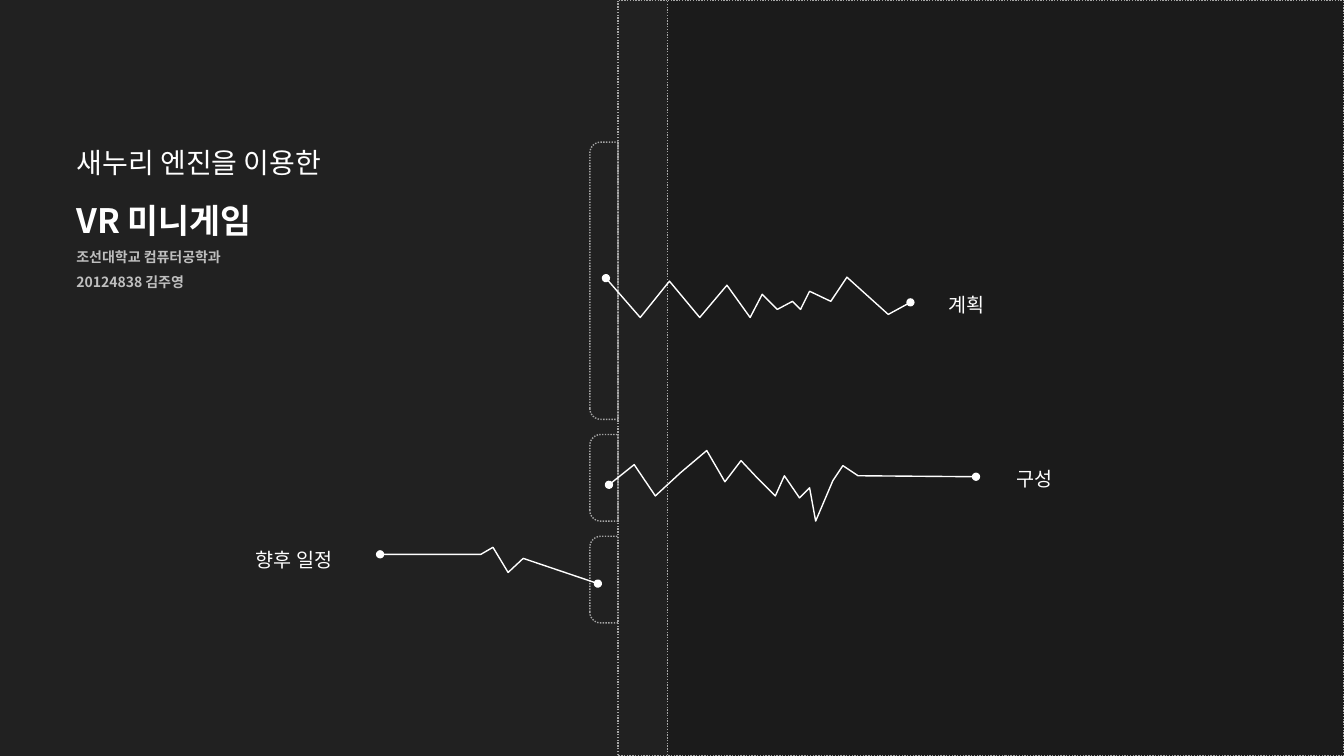
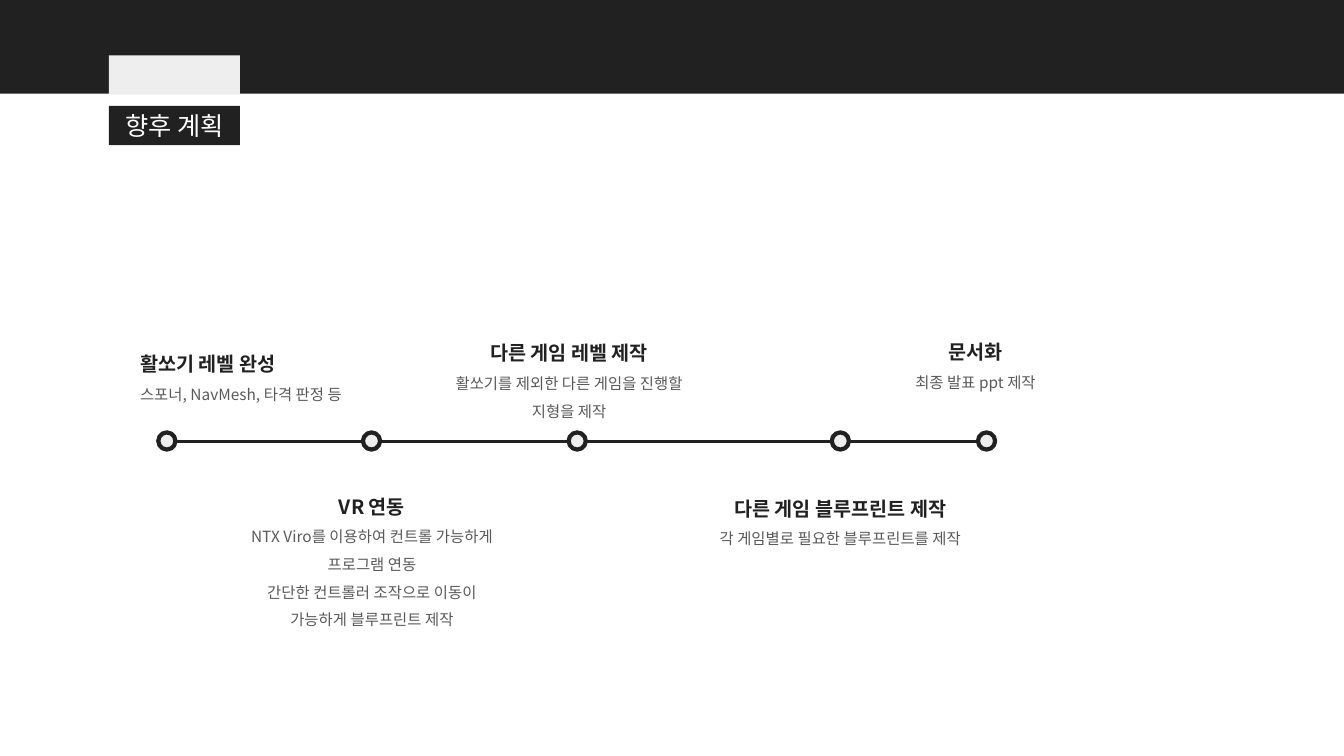
"""Build a two-slide deck on a VR mini-game: an opening map and a schedule timeline."""
from dataclasses import dataclass

from lxml.etree import SubElement
from pptx import Presentation
from pptx.dml.color import RGBColor
from pptx.enum.dml import MSO_LINE
from pptx.enum.shapes import MSO_CONNECTOR, MSO_SHAPE
from pptx.enum.text import MSO_ANCHOR, MSO_AUTO_SIZE, PP_ALIGN
from pptx.oxml.ns import qn
from pptx.util import Inches, Pt


@dataclass(frozen=True)
class Theme:
    font: str = "Noto Sans CJK KR"
    dark: str = "212121"
    darker: str = "1B1B1B"
    white: str = "FFFFFF"
    pale: str = "EEEEEE"
    dotted: str = "A6A6A6"
    muted: str = "BFBFBF"
    body: str = "595959"
    title_size: int = 24
    lead_size: int = 20
    band_size: int = 18
    label_size: int = 14
    body_size: int = 11
    small_size: int = 10


theme = Theme()
LEFT, CENTER = PP_ALIGN.LEFT, PP_ALIGN.CENTER


def write(box, lines, align=LEFT, spacing=1.5, wrap=True, anchor=MSO_ANCHOR.TOP):
    frame = box.text_frame
    frame_format = {"word_wrap": wrap, "auto_size": MSO_AUTO_SIZE.NONE, "vertical_anchor": anchor}
    for name, value in frame_format.items():
        setattr(frame, name, value)
    for number, (text, size, colour, bold) in enumerate(lines):
        para = frame.add_paragraph() if number else frame.paragraphs[0]
        for name, value in {"alignment": align, "line_spacing": spacing}.items():
            setattr(para, name, value)
        span = para.add_run()
        span.text = text
        for name, value in {"name": theme.font, "size": Pt(size), "bold": bold}.items():
            setattr(span.font, name, value)
        span.font.color.rgb = RGBColor.from_string(colour)
        SubElement(span._r.get_or_add_rPr(), qn("a:ea"), typeface=theme.font)


def paint(shape, fill=None, line=None, width=1, dash=None):
    shape.shadow.inherit = False
    if fill:
        shape.fill.solid()
        shape.fill.fore_color.rgb = RGBColor.from_string(fill)
    else:
        shape.fill.background()
    if line:
        shape.line.color.rgb = RGBColor.from_string(line)
        for name, value in {"width": Pt(width), "dash_style": dash}.items():
            setattr(shape.line, name, value)
    else:
        shape.line.fill.background()


deck = Presentation()
deck.slide_width, deck.slide_height = Inches(13.33), Inches(7.5)

pages = []
title_places = [(0.66, 1.23, 4.3, 1.2), (1.08, 1.05, 1.3, 0.39)]
for background, place in zip((theme.dark, theme.white), title_places):
    page = deck.slides.add_slide(deck.slide_layouts[5])
    page.background.fill.solid()
    page.background.fill.fore_color.rgb = RGBColor.from_string(background)
    for name, value in zip(("left", "top", "width", "height"), place):
        setattr(page.shapes.title, name, Inches(value))
    pages.append(page)
opening, schedule = pages

write(opening.shapes.title, [
    ("새누리 엔진을 이용한", theme.lead_size, theme.white, False),
    ("VR 미니게임", theme.title_size, theme.white, True),
])
author = opening.shapes.add_textbox(Inches(0.66), Inches(2.33), Inches(4.3), Inches(0.6))
write(author, [
    (text, theme.small_size, theme.muted, True)
    for text in ("조선대학교 컴퓨터공학과", "20124838 김주영")
])

spine = opening.shapes.add_shape(
    MSO_SHAPE.RECTANGLE, Inches(6.13), 0, Inches(7.2), Inches(7.5))
paint(spine, theme.dark, theme.dotted, dash=MSO_LINE.ROUND_DOT)

tab_centre, tab_depth, tab_gap, tab_top = 5.99, 0.28, 0.15, 1.41
for length in (2.75, 0.86, 0.86):
    tab = opening.shapes.add_shape(
        MSO_SHAPE.ROUND_2_SAME_RECTANGLE,
        Inches(tab_centre - length / 2), Inches(tab_top + length / 2 - tab_depth / 2),
        Inches(length), Inches(tab_depth))
    tab.rotation = 270
    tab.adjustments[0] = 0.385
    paint(tab, line=theme.dotted, dash=MSO_LINE.ROUND_DOT)
    tab_top += length + tab_gap

cover = opening.shapes.add_shape(
    MSO_SHAPE.RECTANGLE, Inches(6.62), 0, Inches(6.71), Inches(7.5))
paint(cover, theme.darker, theme.dotted, dash=MSO_LINE.ROUND_DOT)

topics = [
    ("계획", 9.31, 2.74, 0.59, [
        (6.01, 2.76), (6.35, 3.15), (6.64, 2.79), (6.94, 3.15), (7.21, 2.83), (7.44, 3.15),
        (7.56, 2.92), (7.71, 3.07), (7.86, 2.99), (7.94, 3.07), (8.03, 2.89), (8.24, 2.99),
        (8.4, 2.75), (8.81, 3.12), (9.03, 3)]),
    ("구성", 9.98, 4.47, 0.59, [
        (6.04, 4.81), (6.29, 4.61), (6.5, 4.92), (6.75, 4.69), (7.01, 4.47), (7.19, 4.78),
        (7.35, 4.57), (7.5, 4.73), (7.69, 4.92), (7.78, 4.72), (7.93, 4.94), (8.03, 4.84),
        (8.09, 5.17), (8.26, 4.77), (8.36, 4.62), (8.51, 4.72), (9.68, 4.73)]),
    ("향후 일정", 2.44, 5.27, 1.06, [
        (3.77, 5.5), (4.77, 5.5), (4.89, 5.43), (5.04, 5.68), (5.19, 5.54), (5.93, 5.79)]),
]
for text, left, top, width, points in topics:
    start, *others = [(Inches(x), Inches(y)) for x, y in points]
    builder = opening.shapes.build_freeform(*start)
    builder.add_line_segments(others, close=False)
    zigzag = builder.convert_to_shape()
    paint(zigzag, line=theme.white)
    for end in ("a:headEnd", "a:tailEnd"):
        SubElement(zigzag.line._get_or_add_ln(), qn(end), type="oval")
    label = opening.shapes.add_textbox(Inches(left), Inches(top), Inches(width), Inches(0.45))
    write(label, [(text, theme.label_size, theme.white, False)], wrap=False)

for fill, left, top, width, height in [
    (theme.dark, 0, 0, 13.33, 0.93),
    (theme.pale, 1.08, 0.55, 1.3, 0.39),
]:
    band = schedule.shapes.add_shape(
        MSO_SHAPE.RECTANGLE, Inches(left), Inches(top), Inches(width), Inches(height))
    paint(band, fill)

heading = schedule.shapes.title
heading.fill.solid()
heading.fill.fore_color.rgb = RGBColor.from_string(theme.dark)
write(heading, [("향후 계획", theme.band_size, theme.white, False)],
      align=CENTER, spacing=1.0, anchor=MSO_ANCHOR.MIDDLE)

axis = schedule.shapes.add_connector(
    MSO_CONNECTOR.STRAIGHT, Inches(1.74), Inches(4.38), Inches(9.7), Inches(4.38))
axis.line.color.rgb = RGBColor.from_string(theme.dark)
axis.line.width = Pt(2.25)
SubElement(axis._element.spPr, qn("a:effectLst"))

milestones = [
    (1.57, (1.29, 3.33, 2.39, 0.7), LEFT, "활쏘기 레벨 완성", ["스포너, NavMesh, 타격 판정 등"]),
    (3.6, (2.26, 4.74, 2.86, 1.57), CENTER, "VR 연동", [
        "NTX Viro를 이용하여 컨트롤 가능하게 프로그램 연동",
        "간단한 컨트롤러 조작으로 이동이 가능하게 블루프린트 제작"]),
    (5.64, (3.95, 3.22, 3.39, 1.01), CENTER, "다른 게임 레벨 제작", [
        "활쏘기를 제외한 다른 게임을 진행할", "지형을 제작"]),
    (8.25, (6.3, 4.76, 4.07, 0.73), CENTER, "다른 게임 블루프린트 제작", [
        "각 게임별로 필요한 블루프린트를 제작"]),
    (9.7, (7.64, 3.21, 4.07, 0.7), CENTER, "문서화", ["최종 발표 ppt 제작"]),
]
for dot_left, place, align, name, details in milestones:
    dot = schedule.shapes.add_shape(
        MSO_SHAPE.OVAL, Inches(dot_left), Inches(4.29), Inches(0.17), Inches(0.17))
    paint(dot, theme.pale, theme.dark, width=3)
    caption = schedule.shapes.add_textbox(*map(Inches, place))
    write(caption, [
        (name, theme.label_size, theme.dark, True),
        *[(detail, theme.body_size, theme.body, False) for detail in details],
    ], align=align)

deck.save("out.pptx")
